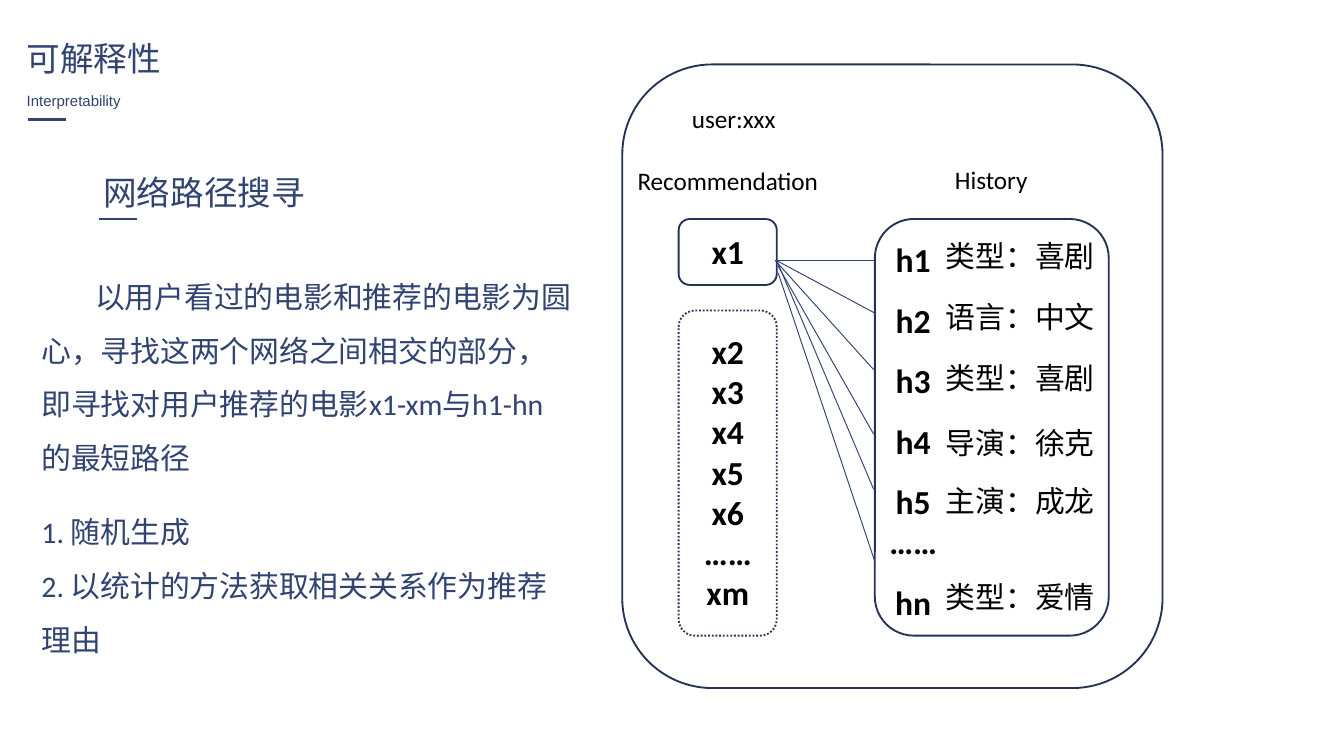
from lxml import etree
from pptx import Presentation
from pptx import util as u
from pptx.dml.color import RGBColor
from pptx.enum import dml, shapes, text
from pptx.oxml.ns import qn

PX = 9144
NAVY, OUTLINE, BLACK = "304371", "243254", "000000"
CJK, BODY, LATIN = "Noto Sans CJK SC", "Calibri", "Arial"

TITLES = [
    ("可解释性", (10, 23, 121, 40), 18, CJK),
    ("Interpretability", (10, 63, 91, 24), 8, LATIN),
    ("网络路径搜寻", (67, 123, 172, 40), 18, CJK),
]
UNDERLINES = [(21, 89), (74, 163)]
UNDERLINE_WIDTH = 28

EXPLANATION = [
    "以用户看过的电影和推荐的电影为圆心，寻找这两个网络之间相交的部分，即寻找对用户推荐的电影x1-xm与h1-hn的最短路径",
    "1. 随机生成",
    "2. 以统计的方法获取相关关系作为推荐理由",
]
FRAMES = [
    ((463, 48, 402, 464), False),
    ((505, 163, 73, 49), False),
    ((505, 231, 73, 242), True),
    ((651, 163, 174, 310), False),
]
LABELS = [
    ("user:xxx", (505, 72, 101, 33), False),
    ("Recommendation", (451, 118, 181, 33), True),
    ("History", (695, 117, 85, 33), True),
]
FIRST_MOVIE = ["x1"]
OTHER_MOVIES = ["x2", "x3", "x4", "x5", "x6", "……", "xm"]
HISTORY = ["h1", "h2", "h3", "h4", "h5", "……", "hn"]
FEATURES = [
    ("类型：喜剧", 172), ("语言：中文", 217), ("类型：喜剧", 263),
    ("导演：徐克", 311), ("主演：成龙", 354), ("类型：爱情", 426),
]
LINKS = [
    ((577, 194), (650, 194)), ((578, 194), (651, 233)), ((577, 194), (650, 275)),
    ((579, 198), (650, 323)), ((578, 194), (650, 364)), ((579, 203), (651, 418)),
]

presentation = Presentation()
presentation.slide_width = 1000 * PX
presentation.slide_height = presentation.slide_width * 9 // 16
slide = presentation.slides.add_slide(presentation.slide_layouts[6])


def color(value):
    return RGBColor.from_string(value)


def add_text(lines, box, size, font=BODY, fill=BLACK, bold=False,
             centered=False, spacing=None, wrap=True):
    shape = slide.shapes.add_textbox(*(value * PX for value in box))
    frame = shape.text_frame
    frame.text = "\n".join(lines)
    frame.word_wrap = wrap
    for paragraph in frame.paragraphs:
        paragraph.alignment = text.PP_ALIGN.CENTER if centered else text.PP_ALIGN.LEFT
        if spacing:
            paragraph.line_spacing = spacing
        for run in paragraph.runs:
            run.font.name = font
            run.font.size = u.Pt(size)
            run.font.bold = bold
            run.font.color.rgb = color(fill)
            east_asian = etree.SubElement(run.font._element, qn("a:ea"))
            east_asian.set("typeface", font)
    return frame.paragraphs


def add_frame(box, dotted):
    shape = slide.shapes.add_shape(
        shapes.MSO_SHAPE.ROUNDED_RECTANGLE, *(value * PX for value in box))
    shape.shadow.inherit = False
    shape.fill.background()
    shape.line.color.rgb = color(OUTLINE)
    shape.line.width = u.Pt(1)
    if dotted:
        shape.line.dash_style = dml.MSO_LINE.ROUND_DOT


def add_line(start, end, width):
    line = slide.shapes.add_connector(
        shapes.MSO_CONNECTOR.STRAIGHT, *(value * PX for value in start + end))
    line.line.color.rgb = color(NAVY)
    line.line.width = u.Pt(width)
    etree.SubElement(line._element.spPr, qn("a:effectLst"))


for title, box, size, font in TITLES:
    add_text([title], box, size, font, NAVY, wrap=False)
for left, top in UNDERLINES:
    add_line((left, top), (left + UNDERLINE_WIDTH, top), 1.5)

for box, dotted in FRAMES:
    add_frame(box, dotted)
for start, end in LINKS:
    add_line(start, end, 0.5)

for label, box, centered in LABELS:
    add_text([label], box, 13.5, centered=centered)
add_text(FIRST_MOVIE, (512, 167, 59, 40), 18, bold=True, centered=True)
add_text(OTHER_MOVIES, (512, 241, 59, 222), 18, bold=True, centered=True)
history = add_text(HISTORY, (650, 158, 59, 343), 18, bold=True, centered=True, spacing=1.5)
history[HISTORY.index("……")].line_spacing = 1.0
for feature, top in FEATURES:
    add_text([feature], (694, top, 131, 37), 16)

explanation = add_text(EXPLANATION, (21, 189, 415, 304), 16, fill=NAVY, spacing=1.5)
explanation[0]._p.get_or_add_pPr().set("indent", str(40 * PX))
explanation[1].space_before = u.Pt(11)

presentation.save("out.pptx")
